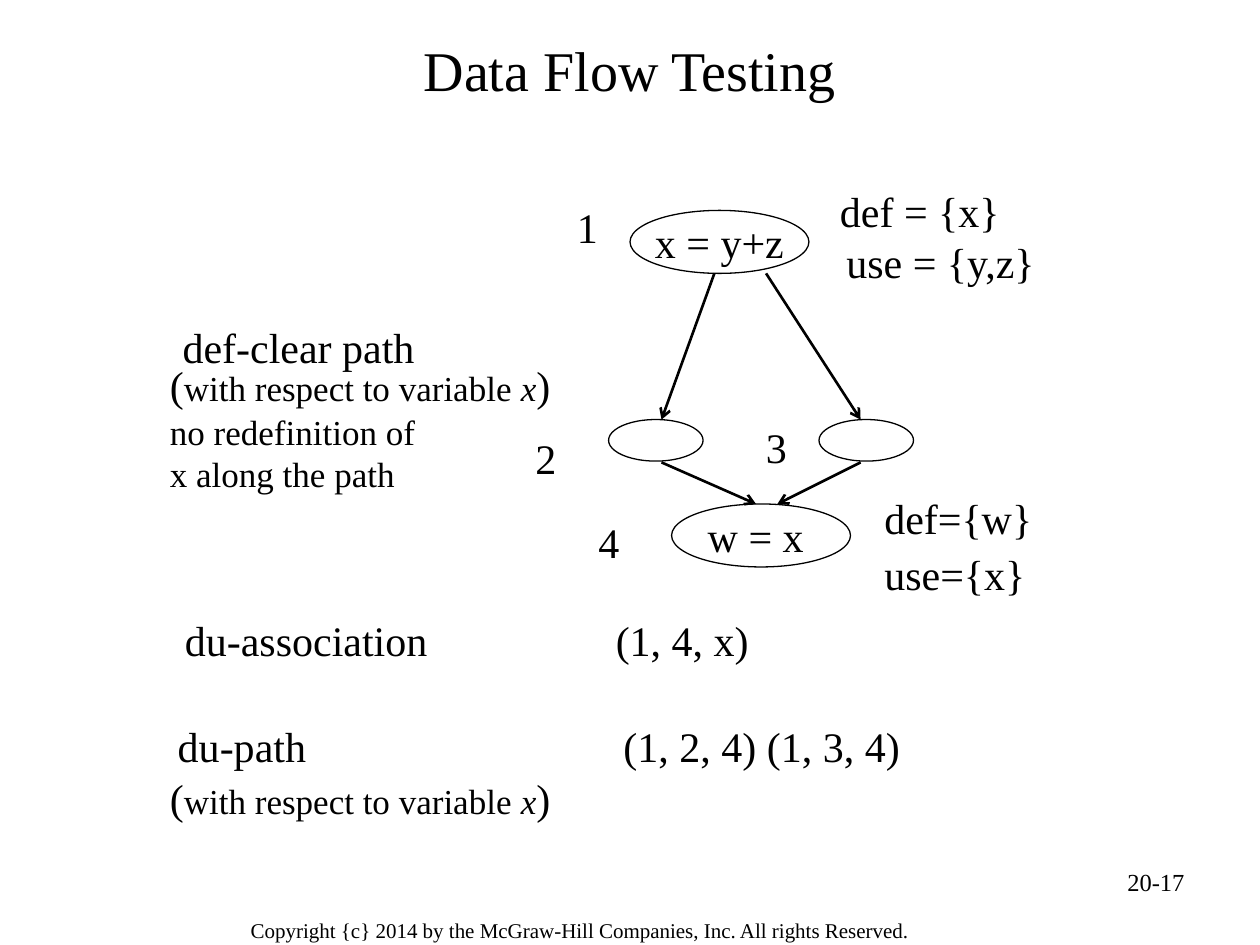
import pptx
import pptx.util
import pptx.dml.color
import pptx.enum.shapes
import pptx.enum.text
import pptx.oxml.ns
import lxml.etree

Inches, Pt = pptx.util.Inches, pptx.util.Pt
ALIGN, ANCHOR = pptx.enum.text.PP_ALIGN, pptx.enum.text.MSO_ANCHOR
BLACK = pptx.dml.color.RGBColor(0, 0, 0)
FONT = "Times New Roman"


def style(font, size):
    font.name, font.size, font.color.rgb = FONT, Pt(size), BLACK


def add_text(slide, box, lines, size=24, align=ALIGN.LEFT, anchor=ANCHOR.TOP, wrap=False):
    """Text box; one that does not wrap grows with its text."""
    sp = slide.shapes.add_textbox(*map(Inches, box))
    tf = sp.text_frame
    tf.word_wrap, tf.vertical_anchor = wrap, anchor
    if not wrap:
        tf.auto_size = pptx.enum.text.MSO_AUTO_SIZE.SHAPE_TO_FIT_TEXT
    for i, line in enumerate(lines):
        p = tf.paragraphs[0] if i == 0 else tf.add_paragraph()
        p.text, p.alignment = line, align
        style(p.font, size)
    return tf


def add_label(slide, box, text):
    add_text(slide, box, [text], align=ALIGN.CENTER, anchor=ANCHOR.MIDDLE)


def add_variable_note(slide, box, more_lines=()):
    """Parenthesised remark on variable x, followed by plain lines."""
    tf = add_text(slide, box, ["", *more_lines], size=20, anchor=ANCHOR.MIDDLE)
    p = tf.paragraphs[0]
    for text, size, italic in (("(", 24, False), ("with respect to variable ", 20, False),
                               ("x", 20, True), (")", 24, False)):
        r = p.add_run()
        r.text, r.font.italic = text, italic
        style(r.font, size)


def add_node(slide, box, text=""):
    sp = slide.shapes.add_shape(pptx.enum.shapes.MSO_SHAPE.OVAL, *map(Inches, box))
    sp.shadow.inherit = False
    sp.fill.background()
    sp.line.color.rgb, sp.line.width = BLACK, Pt(0.75)
    tf = sp.text_frame
    tf.word_wrap, tf.vertical_anchor = False, ANCHOR.MIDDLE
    p = tf.paragraphs[0]
    p.text, p.alignment = text, ALIGN.CENTER
    style(p.font, 24)


def add_arrow(slide, start, end):
    cxn = slide.shapes.add_connector(pptx.enum.shapes.MSO_CONNECTOR.STRAIGHT,
                                     *map(Inches, start + end))
    cxn.line.color.rgb, cxn.line.width = BLACK, Pt(1.5)
    qn = pptx.oxml.ns.qn
    lxml.etree.SubElement(cxn.line._get_or_add_ln(), qn("a:tailEnd"), type="arrow")
    lxml.etree.SubElement(cxn._element.spPr, qn("a:effectLst"))


def add_flow_graph(slide, x, y):
    """Four-node control flow graph, with its top left corner at x, y."""
    for dx, dy, w, h, text in ((0.85, 0.12, 1.42, 0.5, "x = y+z"), (0.68, 1.78, 0.75, 0.33, ""),
                               (2.35, 1.78, 0.75, 0.33, ""), (1.18, 2.45, 1.42, 0.5, "w = x ")):
        add_node(slide, (x + dx, y + dy, w, h), text)
    for x1, y1, x2, y2 in ((1.52, 0.62, 1.1, 1.78), (1.93, 0.62, 2.68, 1.78),
                           (1.1, 2.12, 1.85, 2.45), (2.68, 2.12, 2.02, 2.45)):
        add_arrow(slide, (x + x1, y + y1), (x + x2, y + y2))
    numbers = ((0.33, 0), (0, 1.83), (1.83, 1.75), (0.5, 2.5))
    for number, (dx, dy) in enumerate(numbers, 1):
        add_text(slide, (x + dx, y + dy, 0.36, 0.5), [str(number)])


def add_def_use(slide):
    add_label(slide, (6.56, 1.42, 1.48, 0.5), "def = {x}")
    add_label(slide, (6.6, 1.83, 1.73, 0.5), "use = {y,z}")
    tf = add_text(slide, (6.92, 4, 1.92, 0.79), ["def={w}", "use={x}"], wrap=True)
    for p in tf.paragraphs:
        p.line_spacing = 0.6
    tf.paragraphs[1].space_before = Pt(15)


def add_definitions(slide):
    add_label(slide, (1.34, 2.5, 2.06, 0.5), "def-clear path")
    add_variable_note(slide, (1.25, 2.83, 3.22, 1.12), ["no redefinition of", "x along the path"])
    add_label(slide, (1.36, 4.83, 2.14, 0.5), "du-association")
    add_label(slide, (4.78, 4.83, 1.27, 0.5), "(1, 4, x)")
    add_label(slide, (1.3, 5.67, 1.24, 0.5), "du-path")
    add_label(slide, (4.84, 5.67, 2.41, 0.5), "(1, 2, 4) (1, 3, 4)")
    add_variable_note(slide, (1.25, 6.08, 3.22, 0.5))


def add_footer(slide):
    tf = add_text(slide, (1.88, 7.22, 6.19, 0.31),
                  ["Copyright {c} 2014 by the McGraw-Hill Companies, Inc. All rights Reserved."],
                  size=12, wrap=True)
    tf.margin_left = tf.margin_right = Inches(0.11)
    tf.margin_top = tf.margin_bottom = Inches(0.06)
    add_text(slide, (7.17, 6.83, 2.33, 0.52), ["20-17"], size=14, align=ALIGN.RIGHT, wrap=True)


def main():
    prs = pptx.Presentation()
    prs.slide_width, prs.slide_height = Inches(10), Inches(7.5)
    slide = prs.slides.add_slide(prs.slide_layouts[6])
    add_text(slide, (0.5, 0.18, 9, 0.73), ["Data Flow Testing"], size=32,
             align=ALIGN.CENTER, anchor=ANCHOR.MIDDLE, wrap=True)
    add_flow_graph(slide, 4.15, 1.55)
    add_def_use(slide)
    add_definitions(slide)
    add_footer(slide)
    prs.save("out.pptx")


if __name__ == "__main__":
    main()
